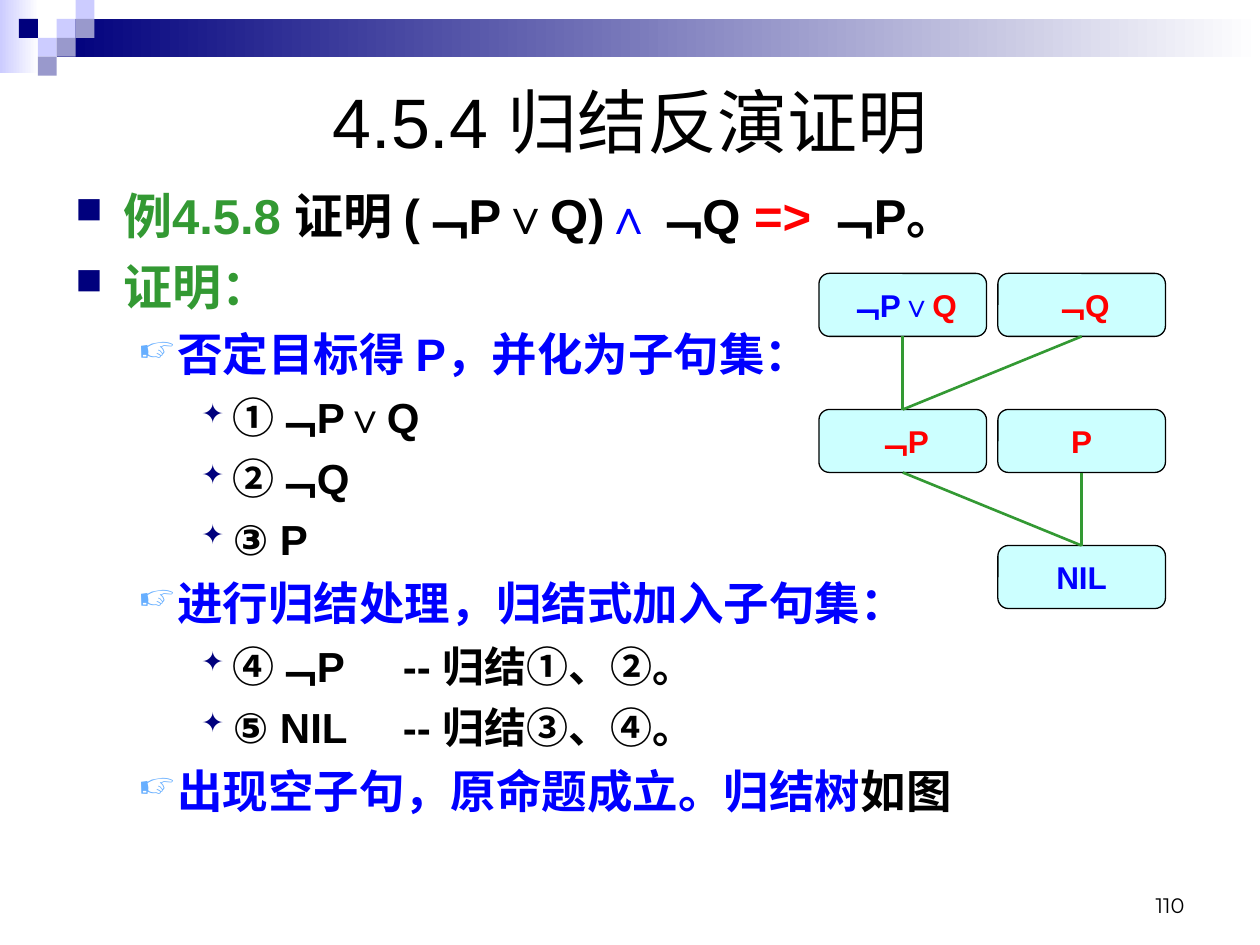
from lxml import etree
from pptx import Presentation
from pptx import util as u
from pptx.dml.color import RGBColor
from pptx.enum import shapes, text
from pptx.oxml.ns import qn

NAVY, LILAC, SLATE, WHITE = "00007D", "CCCCFF", "9999CC", "FFFFFF"
GREEN, BLUE, RED, BLACK, CYAN = "339933", "0000FF", "FF0000", "000000", "CCFFFF"
LEVELS = [
    dict(size=28, before=7, left=0.38, hang=0.38, char="■", color=NAVY, pct=75),
    dict(size=26, before=6.5, left=0.81, hang=0.31, char="☞", color="67AFFF", pct=80),
    dict(size=24, before=6, left=1.25, hang=0.25, char="✦", color=NAVY, pct=65),
]
BODY = [
    (0, [("例4.5.8 ", GREEN), ("证明 (﹁P∨Q)", BLACK), ("∧", BLUE, "Times New Roman"),
         ("﹁Q ", BLACK), ("=> ", RED), ("﹁P。", BLACK)]),
    (0, [("证明：", GREEN)]),
    (1, [("否定目标得 P，并化为子句集：", BLUE)]),
    (2, [("①﹁P∨Q", BLACK)]),
    (2, [("②﹁Q", BLACK)]),
    (2, [("③ P", BLACK)]),
    (1, [("进行归结处理，归结式加入子句集：", BLUE)]),
    (2, [("④﹁P\t-- 归结①、②。", BLACK)]),
    (2, [("⑤ NIL\t-- 归结③、④。", BLACK)]),
    (1, [("出现空子句，原命题成立。归结树", BLUE), ("如图", BLACK)]),
]
NODES = {
    "left clause": (0, 0, [("﹁P∨", BLUE), ("Q", RED)]),
    "right clause": (1, 0, [("﹁Q", RED)]),
    "resolvent": (0, 1, [("﹁P", RED)]),
    "negated goal": (1, 1, [("P", RED)]),
    "empty clause": (1, 2, [("NIL", BLUE)]),
}
EDGES = [("left clause", "resolvent"), ("right clause", "resolvent"),
         ("resolvent", "empty clause"), ("negated goal", "empty clause")]


def rgb(value):
    return RGBColor.from_string(value)


def add_run(p, words, size=18, color=BLACK, font="Arial", bold=False):
    r = p.add_run()
    r.text = words
    r.font.size = u.Pt(size)
    r.font.name = font
    r.font.bold = bold
    r.font.color.rgb = rgb(color)


def add_box(s, left, top, width, height, anchor):
    box = s.shapes.add_textbox(*map(u.Inches, (left, top, width, height)))
    tf = box.text_frame
    tf.word_wrap = True
    tf.vertical_anchor = anchor
    return tf


def add_block(s, kind, left, top, width, height, fill, fade=None):
    sp = s.shapes.add_shape(kind, *map(u.Inches, (left, top, width, height)))
    sp.shadow.inherit = False
    sp.line.fill.background()
    if fade:
        sp.fill.gradient()
        sp.fill.gradient_angle = 0
        for stop, color in zip(sp.fill.gradient_stops, (fill, fade)):
            stop.color.rgb = rgb(color)
    else:
        sp.fill.solid()
        sp.fill.fore_color.rgb = rgb(fill)
    return sp


def add_banner(s, left, top, width, tile):
    rect = shapes.MSO_SHAPE.RECTANGLE
    add_block(s, rect, left, top, 0.31, 0.58, LILAC, WHITE)
    add_block(s, rect, left + 3 * tile, top + tile, width - 3 * tile, 2 * tile, NAVY, WHITE)
    tiles = [(3, 1, LILAC), (4, 0, LILAC), (4, 1, SLATE), (2, 2, LILAC),
             (1, 1, NAVY), (3, 2, SLATE), (2, 3, SLATE)]
    for col, row, color in tiles:
        add_block(s, rect, left + col * tile, top + row * tile, tile, tile, color)


def add_line(s, left, top, width, height, words, align, anchor, **style):
    p = add_box(s, left, top, width, height, anchor).paragraphs[0]
    p.alignment = align
    add_run(p, words, **style)


def set_bullet(p, left, hang, char, color, pct):
    pPr = p._p.get_or_add_pPr()
    pPr.set("marL", str(u.Inches(left)))
    pPr.set("indent", str(-u.Inches(hang)))
    clr = etree.SubElement(pPr, qn("a:buClr"))
    etree.SubElement(clr, qn("a:srgbClr"), val=color)
    etree.SubElement(pPr, qn("a:buSzPct"), val=str(pct * 1000))
    etree.SubElement(pPr, qn("a:buChar"), char=char)
    tabs = etree.SubElement(pPr, qn("a:tabLst"))
    etree.SubElement(tabs, qn("a:tab"), pos=str(u.Inches(2.6)), algn="l")


def add_body(s, left, top, width, height):
    tf = add_box(s, left, top, width, height, text.MSO_ANCHOR.TOP)
    for i, (level, runs) in enumerate(BODY):
        p = tf.add_paragraph() if i else tf.paragraphs[0]
        style = dict(LEVELS[level])
        size = style.pop("size")
        p.level = level
        p.space_before = u.Pt(style.pop("before"))
        set_bullet(p, **style)
        for words, color, *font in runs:
            add_run(p, words, size, color, *font, bold=True)


def add_tree(s, left, top, width, height):
    node_w, node_h = 1.33, 0.5
    step_x, step_y = width - node_w, (height - node_h) / 2
    nodes = {}
    for name, (col, row, runs) in NODES.items():
        sp = add_block(s, shapes.MSO_SHAPE.ROUNDED_RECTANGLE, left + col * step_x,
                       top + row * step_y, node_w, node_h, CYAN)
        sp.line.color.rgb = rgb(BLACK)
        sp.line.width = u.Pt(0.75)
        tf = sp.text_frame
        tf.word_wrap = False
        tf.vertical_anchor = text.MSO_ANCHOR.MIDDLE
        p = tf.paragraphs[0]
        p.alignment = text.PP_ALIGN.CENTER
        for words, color in runs:
            add_run(p, words, color=color, bold=True)
        nodes[name] = sp
    for parent, child in EDGES:
        edge = s.shapes.add_connector(shapes.MSO_CONNECTOR.STRAIGHT, 0, 0, 0, 0)
        edge.begin_connect(nodes[parent], 2)
        edge.end_connect(nodes[child], 0)
        edge.line.color.rgb = rgb(GREEN)
        edge.line.width = u.Pt(1.5)
        etree.SubElement(edge._element.spPr, qn("a:effectLst"))


def main():
    prs = Presentation()
    prs.slide_width, prs.slide_height = u.Inches(10), u.Inches(7.5)
    s = prs.slides.add_slide(prs.slide_layouts[6])
    add_banner(s, 0, 0, 10, 0.15)
    add_line(s, 0.5, 0.5, 9, 0.92, "4.5.4 归结反演证明", text.PP_ALIGN.CENTER,
             text.MSO_ANCHOR.MIDDLE, size=40)
    add_body(s, 0.5, 1.42, 9, 5.33)
    add_tree(s, 6.5, 2.17, 2.75, 2.66)
    add_line(s, 7.17, 6.83, 2.33, 0.5, "110", text.PP_ALIGN.RIGHT,
             text.MSO_ANCHOR.BOTTOM, size=12, font="Montserrat")
    prs.save("out.pptx")


if __name__ == "__main__":
    main()
